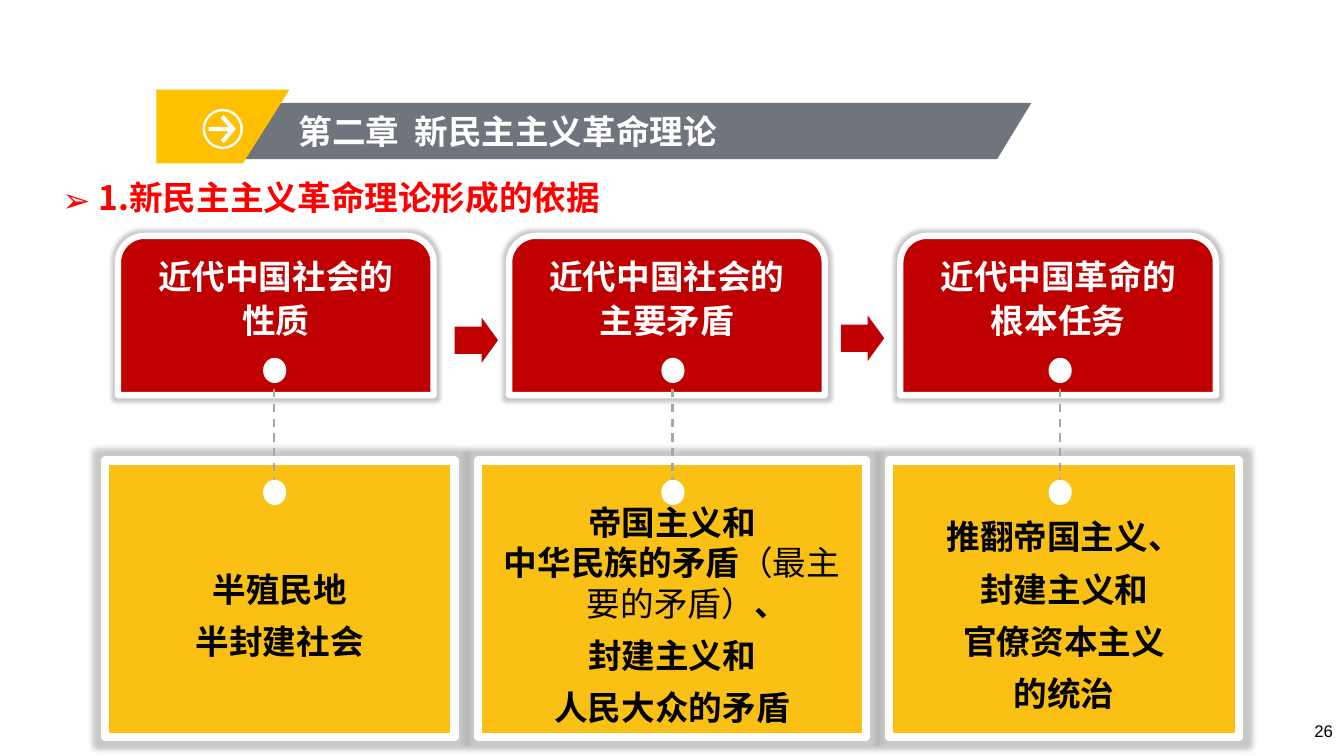
from lxml.etree import SubElement
from pptx import Presentation
from pptx.dml.color import RGBColor
from pptx.enum.dml import MSO_LINE
from pptx.enum.shapes import MSO_CONNECTOR, MSO_SHAPE as SHAPE
from pptx.enum.text import MSO_ANCHOR as ANCHOR, PP_ALIGN as ALIGN
from pptx.oxml.ns import qn
from pptx.util import Inches, Pt

CJK = "Noto Sans CJK SC"
COLUMNS = [
    (2.72, (1.04, 3.47), "近代中国社会的性质",
     [(1.3, [("半殖民地", True)]), (1.3, [("半封建社会", True)])]),
    (6.67, (4.74, 3.85), "近代中国社会的主要矛盾",
     [(1.3, [("帝国主义和", True)]),
      (1.0, [("中华民族的矛盾", True), ("（最主要的矛盾）", False), ("、", True)]),
      (1.3, [("封建主义和", True)]), (1.3, [("人民大众的矛盾", True)])]),
    (10.51, (8.82, 3.47), "近代中国革命的根本任务",
     [(1.3, [("推翻帝国主义、", True)]), (1.3, [("封建主义和", True)]),
      (1.3, [("官僚资本主义", True)]), (1.3, [("的统治", True)])]),
]


def rgb(color):
    """Turn a hex string into a colour."""
    return RGBColor.from_string(color)


def paint(sp, color, line=None):
    """Fill a shape, with a white outline of the given width or none."""
    sp.shadow.inherit = False
    sp.fill.solid()
    sp.fill.fore_color.rgb = rgb(color)
    if line:
        sp.line.color.rgb = rgb("FFFFFF")
        sp.line.width = Pt(line)
    else:
        sp.line.fill.background()


def add_preset(s, kind, x, y, w, h, color, line=None):
    """Add a painted preset shape."""
    sp = s.shapes.add_shape(kind, Inches(x), Inches(y), Inches(w), Inches(h))
    paint(sp, color, line)
    return sp


def add_outline(s, x, y, points, color):
    """Add a closed polygon whose points are relative to x, y."""
    points = [(Inches(x + dx), Inches(y + dy)) for dx, dy in points]
    builder = s.shapes.build_freeform(*points[0])
    builder.add_line_segments(points[1:], close=True)
    paint(builder.convert_to_shape(), color)


def add_halo(sp, blur, spread):
    """Give a shape a soft grey shadow reaching the given inches beyond each side."""
    effects = sp.element.spPr.find(qn("a:effectLst"))
    sx, sy = (str(round(100000 * (1 + 2 * Inches(spread) / side)))
              for side in (sp.width, sp.height))
    halo = SubElement(effects, qn("a:outerShdw"), blurRad=str(Pt(blur)), sx=sx,
                      sy=sy, algn="ctr", rotWithShape="0")
    tint = SubElement(halo, qn("a:srgbClr"), val="000000")
    SubElement(tint, qn("a:alpha"), val="22000")


def add_run(p, text, color, bold=True, size=24, font=CJK):
    """Append a formatted run to a paragraph."""
    r = p.add_run()
    r.text = text
    r.font.size, r.font.bold, r.font.name = Pt(size), bold, font
    r.font.color.rgb = rgb(color)
    SubElement(r.font._element, qn("a:ea"), typeface=font)


def set_frame(tf, anchor, insets=(0.1, 0.05, 0.1, 0.05)):
    """Set wrapping, anchor and insets of a text frame."""
    tf.word_wrap = True
    tf.vertical_anchor = anchor
    tf.margin_left, tf.margin_top, tf.margin_right, tf.margin_bottom = map(Inches, insets)


def set_indent(p, left):
    """Give a paragraph a hanging indent."""
    pPr = p._p.get_or_add_pPr()
    pPr.set("marL", str(Inches(left)))
    pPr.set("indent", str(-Inches(left)))
    return pPr


def add_banner(s, x, y):
    """Draw the chapter banner with its icon and title."""
    add_outline(s, x + 0.08, y + 0.13, [(0, 0), (8.6, 0), (8.26, 0.56), (0, 0.56)], "70757D")
    add_outline(s, x, y, [(0, 0), (1.32, 0), (0.86, 0.73), (0, 0.73)], "FFC000")
    ring = add_preset(s, SHAPE.DONUT, x + 0.46, y + 0.19, 0.4, 0.4, "FFFFFF")
    ring.adjustments[0] = 0.06
    add_outline(s, x + 0.52, y + 0.25,
                [(0.15, 0.28), (0.12, 0.25), (0.2, 0.16), (0, 0.16), (0, 0.12),
                 (0.2, 0.12), (0.12, 0.03), (0.15, 0), (0.27, 0.14)], "FFFFFF")
    title = s.shapes.title
    title.left, title.top = Inches(x + 1.31), Inches(y + 0.16)
    title.width, title.height = Inches(4.41), Inches(0.5)
    set_frame(title.text_frame, ANCHOR.TOP)
    p = title.text_frame.paragraphs[0]
    p.alignment = ALIGN.LEFT
    add_run(p, "第二章  新民主主义革命理论", "FFFFFF")
    s.shapes.element.append(title.element)


def add_subtitle(s, x, y, w, h):
    """Add the bulleted section heading."""
    tf = s.shapes.add_textbox(Inches(x), Inches(y), Inches(w), Inches(h)).text_frame
    set_frame(tf, ANCHOR.TOP)
    p = tf.paragraphs[0]
    pPr = set_indent(p, 0.36)
    SubElement(pPr, qn("a:buFont"), typeface=CJK)
    SubElement(pPr, qn("a:buChar"), char="➢")
    add_run(p, "1.新民主主义革命理论形成的依据", "FF0000")


def add_heading(s, x, y, w, h, text):
    """Add a red heading with rounded top corners."""
    sp = add_preset(s, SHAPE.ROUND_2_SAME_RECTANGLE, x, y, w, h, "C00000", 4.5)
    add_halo(sp, 3, 0.03)
    set_frame(sp.text_frame, ANCHOR.TOP, (0.16, 0.08, 0.16, 0.48))
    p = sp.text_frame.paragraphs[0]
    p.alignment, p.line_spacing = ALIGN.CENTER, 1.1
    add_run(p, text, "FFFFFF")


def add_card(s, x, y, w, h, lines):
    """Add a yellow card with centred lines of text."""
    sp = add_preset(s, SHAPE.RECTANGLE, x, y, w, h, "FFC000", 6)
    tint = sp.element.spPr.find(qn("a:solidFill")).find(qn("a:srgbClr"))
    SubElement(tint, qn("a:alpha"), val="90000")
    add_halo(sp, 4, 0.08)
    tf = sp.text_frame
    set_frame(tf, ANCHOR.MIDDLE, (0.2, 0.2, 0.2, 0))
    for i, (spacing, runs) in enumerate(lines):
        p = tf.add_paragraph() if i else tf.paragraphs[0]
        p.alignment, p.line_spacing, p.level = ALIGN.CENTER, spacing, 1
        set_indent(p, 0.31)
        for text, bold in runs:
            add_run(p, text, "000000", bold)


def add_link(s, x, y):
    """Draw a dashed link with a dot at each end, centred on x."""
    line = s.shapes.add_connector(MSO_CONNECTOR.STRAIGHT, Inches(x), Inches(y + 0.31),
                                  Inches(x), Inches(y + 1.23))
    line.line.color.rgb = rgb("A6A6A6")
    line.line.width, line.line.dash_style = Pt(1.5), MSO_LINE.DASH
    SubElement(line.element.spPr, qn("a:effectLst"))
    for top in (y, y + 1.21):
        add_preset(s, SHAPE.OVAL, x - 0.11, top, 0.23, 0.25, "FFFFFF")


def add_step_arrow(s, x, y):
    """Add a red arrow between two headings."""
    sp = add_preset(s, SHAPE.RIGHT_ARROW, x, y, 0.43, 0.45, "C00000")
    sp.adjustments[0], sp.adjustments[1] = 0.6, 0.38


def add_columns(s, x, y):
    """Place the three columns and the arrows between them."""
    for i, (_, (left, width), heading, lines) in enumerate(COLUMNS):
        add_heading(s, x + 3.88 * i, y, 3.13, 1.58, heading)
        add_card(s, left, y + 2.23, width, 2.74, lines)
    add_step_arrow(s, x + 3.34, y + 0.81)
    add_step_arrow(s, x + 7.17, y + 0.79)
    for center, *_ in COLUMNS:
        add_link(s, center, y + 1.21)


def add_page_number(s, x, y, w, h):
    """Add the page number."""
    tf = s.shapes.add_textbox(Inches(x), Inches(y), Inches(w), Inches(h)).text_frame
    set_frame(tf, ANCHOR.TOP)
    p = tf.paragraphs[0]
    p.alignment = ALIGN.RIGHT
    add_run(p, "26", "000000", False, 12, "Arial")


def main():
    """Build the slide and save it."""
    prs = Presentation()
    prs.slide_width, prs.slide_height = Inches(13.33), Inches(7.5)
    s = prs.slides.add_slide(prs.slide_layouts[5])
    add_banner(s, 1.55, 0.89)
    add_columns(s, 1.17, 2.34)
    add_subtitle(s, 0.52, 1.71, 5.8, 0.5)
    add_page_number(s, 12.81, 7.1, 0.51, 0.4)
    prs.save("out.pptx")


if __name__ == "__main__":
    main()
